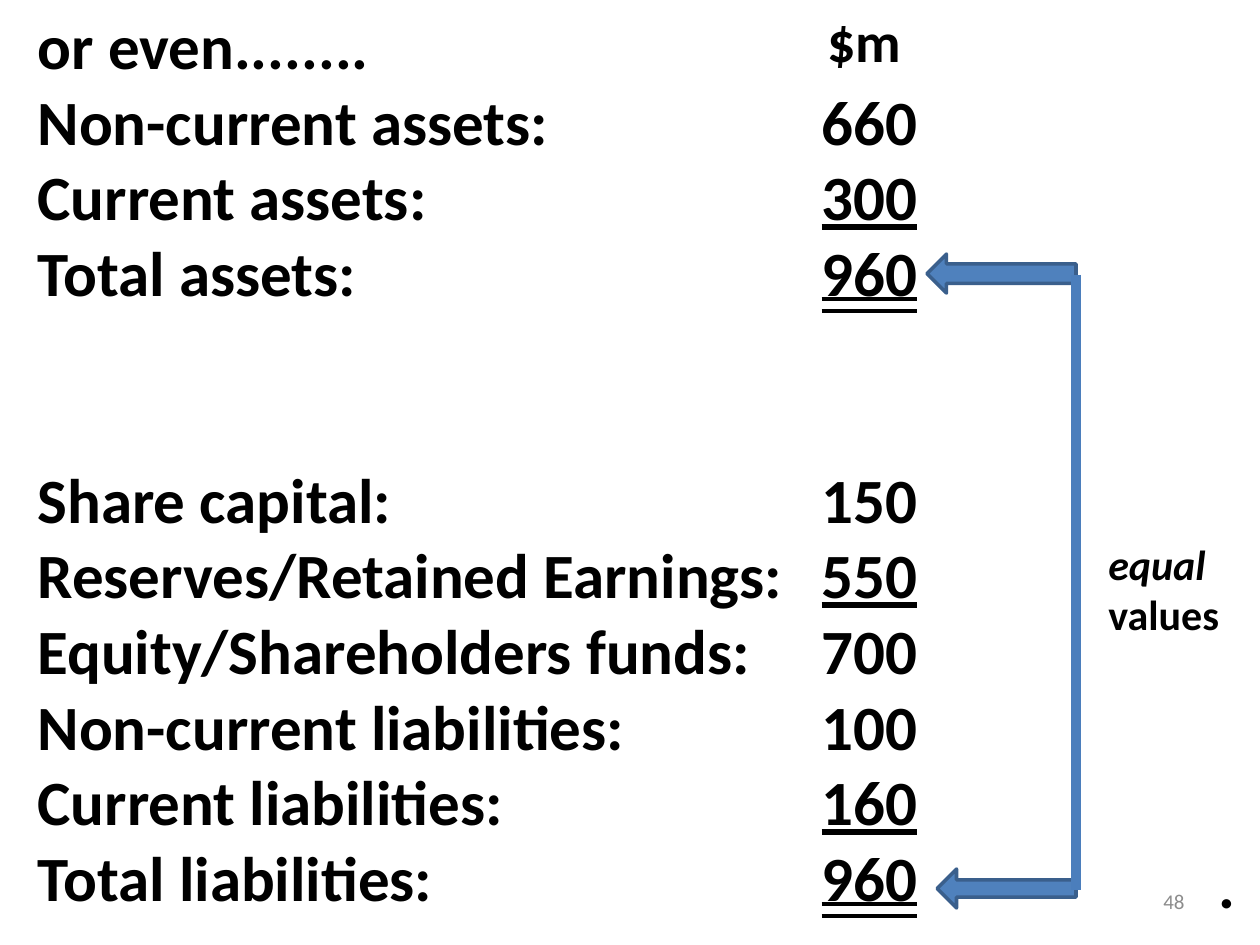
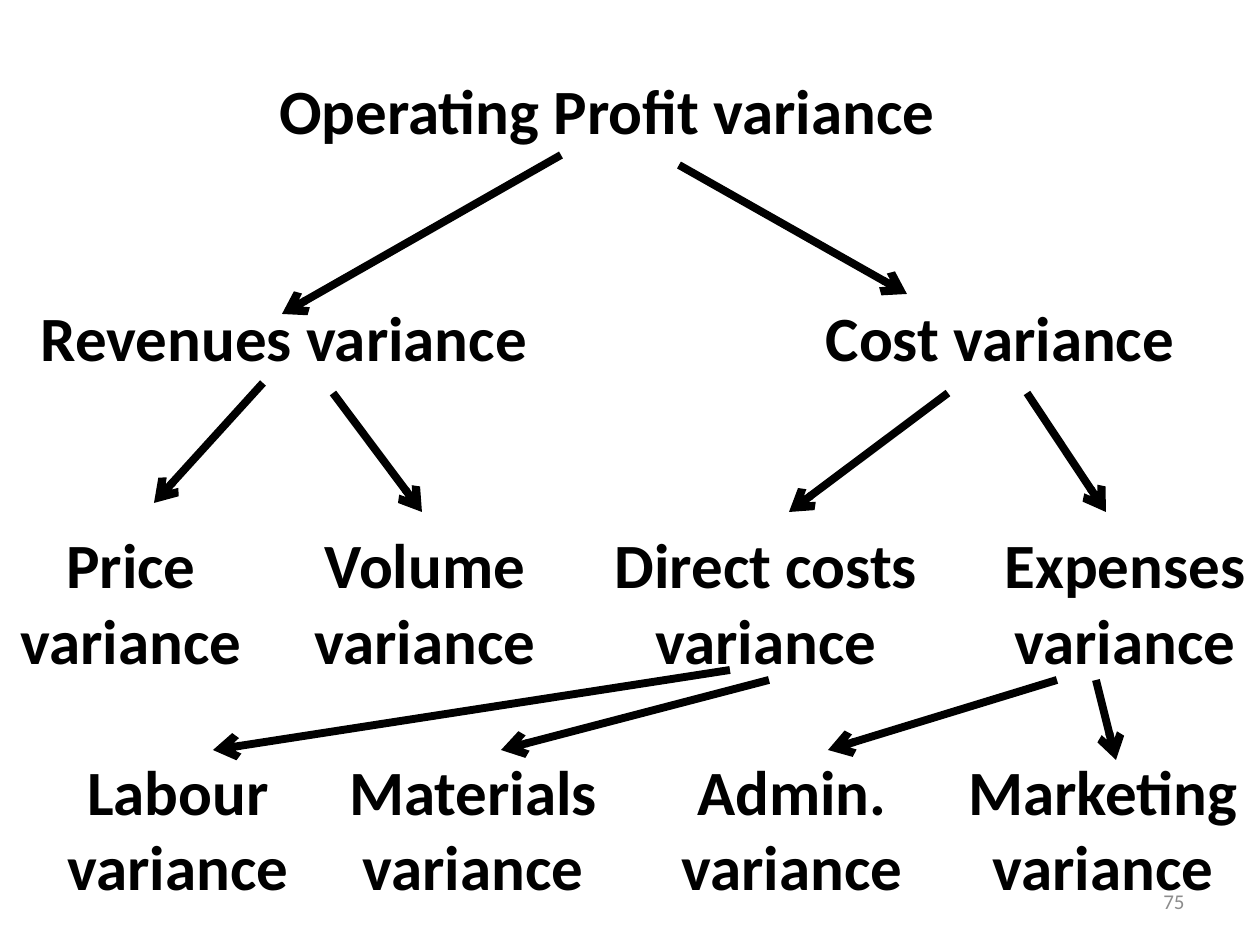
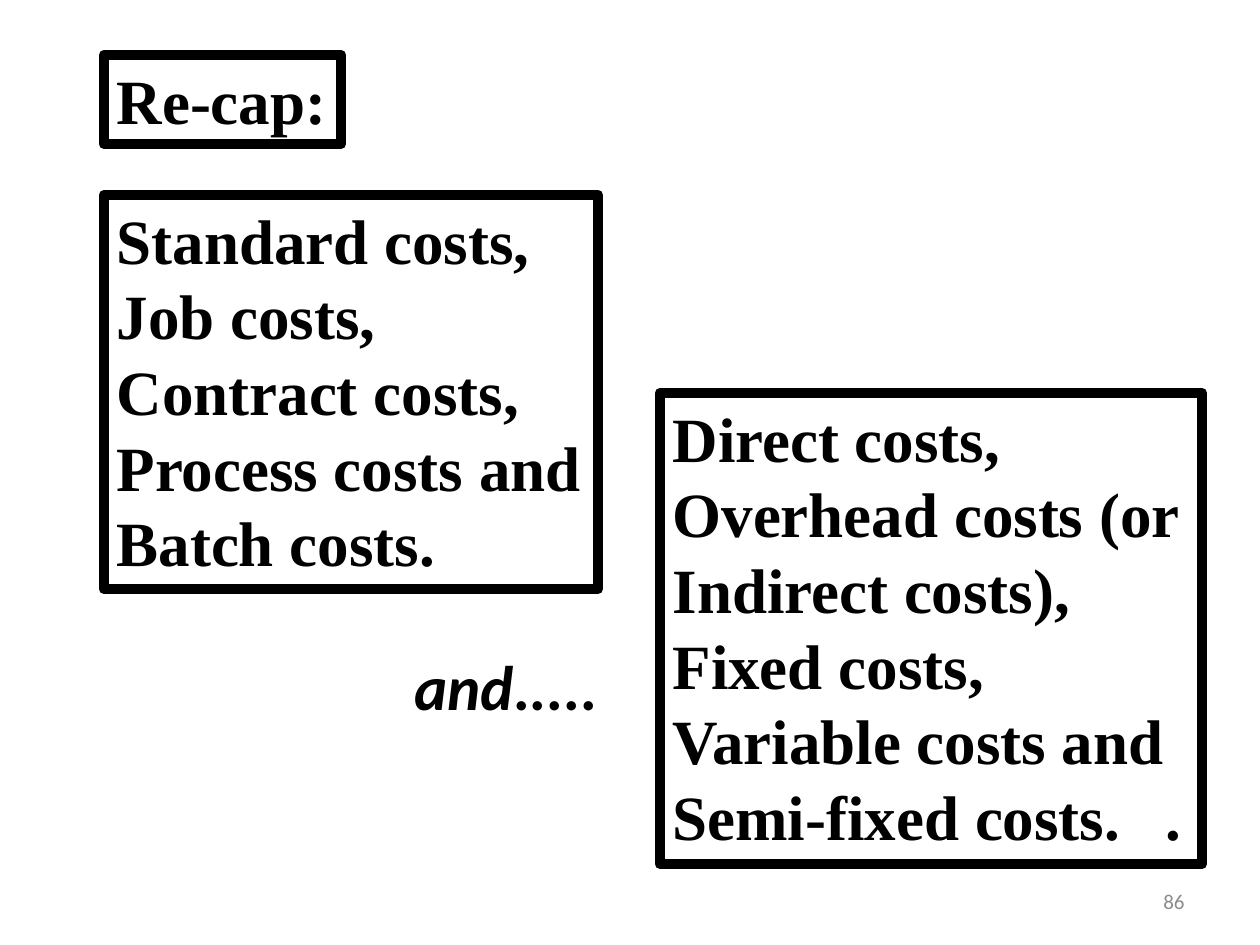
import pptx
import pptx.util
import pptx.dml.color
import pptx.enum.text
import pptx.enum.shapes
import pptx.oxml.ns
import lxml.etree
from dataclasses import dataclass


@dataclass(frozen=True)
class Theme:
    ink: str = "000000"
    grey: str = "8C8C8C"
    blue: str = "4F81BD"
    edge: str = "3A5F8C"
    rail: str = "4B7EBC"
    sans: str = "Calibri"
    serif: str = "Times New Roman"
    large: int = 36
    unit: int = 32
    note: int = 24
    foot: int = 12
    lead: float = 1.2
    thick: float = 6
    branch: float = 4.5
    thin: float = 2


LOOK = Theme()
PX = 914400 / 126
ENUM = pptx.enum.text
ONE = ENUM.MSO_UNDERLINE.SINGLE_LINE
TWO = ENUM.MSO_UNDERLINE.DOUBLE_LINE
SHAPE = pptx.enum.shapes.MSO_SHAPE

ASSETS = [
    ("Non-current assets:", "660", None),
    ("Current assets:", "300", ONE),
    ("Total assets:", "960", TWO),
]
CLAIMS = [
    ("Share capital:", "150", None),
    ("Reserves/Retained Earnings:", "550", ONE),
    ("Equity/Shareholders funds:", "700", None),
    ("Non-current liabilities:", "100", None),
    ("Current liabilities:", "160", ONE),
    ("Total liabilities:", "960", TWO),
]
BARS = [(927, 254, 149, 0.5), (937, 869, 139, 0.44)]

NODES = [
    (1, 284, 500, ["Revenues variance"]),
    (1, 1000, 400, ["Cost variance"]),
    (2, 131, 250, ["Price", "variance"]),
    (2, 425, 250, ["Volume", "variance"]),
    (2, 766, 320, ["Direct costs", "variance"]),
    (2, 1125, 270, ["Expenses", "variance"]),
    (3, 178, 250, ["Labour", "variance"]),
    (3, 473, 270, ["Materials", "variance"]),
    (3, 792, 250, ["Admin.", "variance"]),
    (3, 1103, 300, ["Marketing", "variance"]),
]
LINKS = [
    (561, 155, 282, 314), (679, 165, 907, 294),
    (263, 383, 154, 503), (333, 393, 422, 512),
    (948, 393, 789, 512), (1027, 393, 1106, 512),
    (730, 670, 213, 750), (769, 680, 501, 750),
    (1057, 680, 828, 750), (1096, 680, 1116, 760),
]

KINDS = ["Standard costs,", "Job costs,", "Contract costs,",
         "Process costs and", "Batch costs."]
TYPES = ["Direct costs,", "Overhead costs (or", "Indirect costs),",
         "Fixed costs,", "Variable costs and", "Semi-fixed costs."]


def emu(px):
    return round(px * PX)


def tint(code):
    return pptx.dml.color.RGBColor.from_string(code)


def child(node, tag, **attrs):
    return lxml.etree.SubElement(node, pptx.oxml.ns.qn(tag), attrs)


def place(shape, box):
    shape.left, shape.top, shape.width, shape.height = map(emu, box)
    return shape


def text(shape, lines, size=LOOK.large, face=LOOK.sans, color=LOOK.ink,
         bold=True, slant=(), align="LEFT", mid=False, inset=None,
         gaps=None, rules=None):
    frame = shape.text_frame
    frame.word_wrap = True
    frame.auto_size = ENUM.MSO_AUTO_SIZE.NONE
    frame.vertical_anchor = (ENUM.MSO_ANCHOR.MIDDLE if mid
                             else ENUM.MSO_ANCHOR.TOP)
    if inset is not None:
        frame.margin_left = frame.margin_right = emu(inset)
        frame.margin_top = frame.margin_bottom = emu(inset)
    for n, words in enumerate(lines):
        para = frame.add_paragraph() if n else frame.paragraphs[0]
        para.alignment = getattr(ENUM.PP_ALIGN, align)
        para.line_spacing = pptx.util.Pt(size * LOOK.lead)
        para.space_before = pptx.util.Pt((gaps or {}).get(n, 0))
        props = para._p.get_or_add_pPr()
        props.set("marL", "0")
        props.set("indent", "0")
        child(props, "a:buNone")
        run = para.add_run()
        run.text = words
        font = run.font
        font.name, font.size = face, pptx.util.Pt(size)
        font.bold, font.italic = bold, n in slant
        font.color.rgb = tint(color)
        if rules and rules[n]:
            font.underline = rules[n]
    return shape


def label(slide, box, lines, **style):
    return text(slide.shapes.add_textbox(*map(emu, box)), lines, **style)


def line(slide, ends, color, width, arrow=False):
    link = slide.shapes.add_connector(
        pptx.enum.shapes.MSO_CONNECTOR.STRAIGHT, *map(emu, ends))
    link.line.color.rgb = tint(color)
    link.line.width = pptx.util.Pt(width)
    if arrow:
        child(link.line._get_or_add_ln(), "a:tailEnd", type="arrow")
    child(link._element.spPr, "a:effectLst")


def frame(shape):
    shape.line.color.rgb = tint(LOOK.ink)
    shape.line.width = pptx.util.Pt(LOOK.thick)


def start(deck, layout, number):
    slide = deck.slides.add_slide(deck.slide_layouts[layout])
    label(slide, (903, 876, 294, 50), [number], size=LOOK.foot,
          color=LOOK.grey, bold=False, align="RIGHT", mid=True)
    return slide


def ledger(deck):
    slide = start(deck, 3, "48")
    title, left, right = slide.placeholders
    text(place(title, (25, 0, 600, 76)), ["or even........"])
    names, sums, rules = zip(*ASSETS, *CLAIMS)
    gaps = {len(ASSETS): 2 * LOOK.large * LOOK.lead}
    text(place(left, (25, 76, 780, 853)), names, gaps=gaps)
    text(place(right, (800, 76, 130, 853)), sums, gaps=gaps,
         rules=rules, align="RIGHT")
    label(slide, (815, 0, 126, 81), ["$m"], size=LOOK.unit)
    for x, top, width, ratio in BARS:
        bar = slide.shapes.add_shape(
            SHAPE.RIGHT_ARROW, *map(emu, (x, top, width, 39)))
        bar.rotation = 180
        bar.adjustments[0] = ratio
        bar.shadow.inherit = False
        bar.fill.solid()
        bar.fill.fore_color.rgb = tint(LOOK.blue)
        bar.line.color.rgb = tint(LOOK.edge)
        bar.line.width = pptx.util.Pt(LOOK.thin)
    line(slide, (1076, 275, 1076, 890), LOOK.rail, LOOK.thick)
    label(slide, (1096, 532, 150, 120), ["equal", "values"],
          size=LOOK.note, slant=(0,))
    label(slide, (1206, 839, 54, 89), ["."])


def tree(deck):
    slide = start(deck, 5, "75")
    pitch = 3 * LOOK.large * LOOK.lead * 1.75
    style = dict(align="CENTER", inset=0)
    text(place(slide.shapes.title, (257, 72, 700, 76)),
         ["Operating Profit variance"], **style)
    for level, mid, width, lines in NODES:
        box = (mid - width / 2, 72 + level * pitch, width, 76 * len(lines))
        label(slide, box, lines, **style)
    for ends in LINKS:
        line(slide, ends, LOOK.ink, LOOK.branch, arrow=True)


def recap(deck):
    slide = start(deck, 3, "86")
    boxes = [(104, 55, 237, 89), (104, 195, 494, 394), (660, 393, 542, 471)]
    for shape, box, lines in zip(slide.placeholders, boxes,
                                 (["Re-cap:"], KINDS, TYPES)):
        frame(place(shape, box))
        text(shape, lines, face=LOOK.serif)
    label(slide, (1153, 771, 48, 89), ["."], face=LOOK.serif)
    label(slide, (402, 641, 220, 89), ["and....."], slant=(0,))


def main():
    deck = pptx.Presentation()
    deck.slide_width, deck.slide_height = emu(1260), emu(945)
    ledger(deck)
    tree(deck)
    recap(deck)
    deck.save("out.pptx")


if __name__ == "__main__":
    main()
